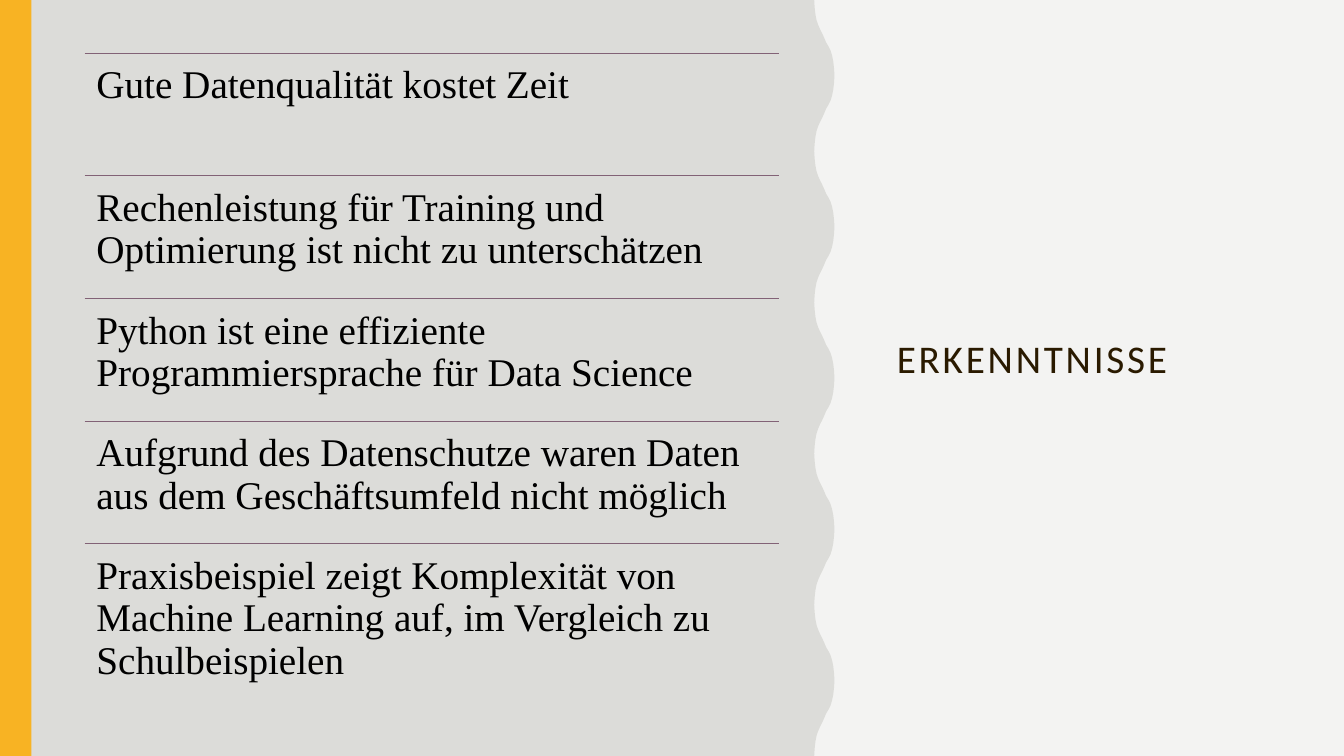
from dataclasses import dataclass

from lxml import etree
from pptx import Presentation
from pptx.dml.color import RGBColor
from pptx.enum.shapes import MSO_CONNECTOR, MSO_SHAPE
from pptx.enum.text import MSO_ANCHOR, MSO_AUTO_SIZE, PP_ALIGN
from pptx.oxml.ns import qn
from pptx.util import Cm, Pt

STRAIGHT = MSO_CONNECTOR.STRAIGHT
RECTANGLE = MSO_SHAPE.RECTANGLE
TOP, MIDDLE = MSO_ANCHOR.TOP, MSO_ANCHOR.MIDDLE
LEFT = PP_ALIGN.LEFT
NO_AUTOFIT = MSO_AUTO_SIZE.NONE


@dataclass(frozen=True)
class Theme:
    paper: RGBColor = RGBColor.from_string("F3F3F2")
    panel: RGBColor = RGBColor.from_string("DCDCD9")
    accent: RGBColor = RGBColor.from_string("F8B323")
    title: RGBColor = RGBColor.from_string("2A1A00")
    body: RGBColor = RGBColor.from_string("000000")
    rule: RGBColor = RGBColor.from_string("826276")
    title_font: str = "Calibri"
    body_font: str = "Times New Roman"
    size: Pt = Pt(28)
    rule_width: Pt = Pt(0.5)


THEME = Theme()


def write(frame, text, *, font, color, anchor=TOP, margin=0.25, tracking=0):
    """Fill a text frame; margin is in cm, tracking in points."""
    frame.word_wrap = True
    frame.auto_size = NO_AUTOFIT
    frame.vertical_anchor = anchor
    frame.margin_left = frame.margin_right = Cm(margin)
    frame.margin_top = frame.margin_bottom = Cm(margin)
    paragraph = frame.paragraphs[0]
    paragraph.alignment = LEFT
    paragraph.line_spacing = 0.9
    run = paragraph.add_run()
    run.text = text
    run.font.name = font
    run.font.size = THEME.size
    run.font.color.rgb = color
    if tracking:
        run.font._element.set("spc", str(tracking * 100))


def paint(shape, color):
    shape.shadow.inherit = False
    shape.fill.solid()
    shape.fill.fore_color.rgb = color
    shape.line.fill.background()


prs = Presentation()
prs.slide_width, prs.slide_height = Cm(33.87), Cm(19.05)
slide = prs.slides.add_slide(prs.slide_layouts[5])
slide.background.fill.solid()
slide.background.fill.fore_color.rgb = THEME.paper

# Panel with a wavy right edge: each wave swells along this curve, then mirrors it
WAVES = 5
PANEL_WIDTH = 20.52
WAVE_HEIGHT = 3.81
SWELL = [
    (0, 0), (0.01, 0.18), (0.03, 0.36), (0.06, 0.51), (0.1, 0.63),
    (0.15, 0.74), (0.2, 0.84), (0.25, 0.95), (0.3, 1.07), (0.36, 1.17),
    (0.41, 1.27), (0.45, 1.4), (0.48, 1.55), (0.5, 1.73), (0.51, 1.9),
]
wave = SWELL + [(x, WAVE_HEIGHT - y) for x, y in reversed(SWELL)]
edge = [
    (Cm(PANEL_WIDTH + x), Cm(number * WAVE_HEIGHT + y))
    for number in range(WAVES)
    for x, y in wave
]
outline = slide.shapes.build_freeform(0, 0)
outline.add_line_segments(edge + [(0, prs.slide_height)], close=True)
paint(outline.convert_to_shape(), THEME.panel)

stripe = slide.shapes.add_shape(RECTANGLE, 0, 0, Cm(0.79), prs.slide_height)
paint(stripe, THEME.accent)

title = slide.shapes.title
title.left, title.top = Cm(22.35), Cm(1.35)
title.width, title.height = Cm(10.16), Cm(15.47)
write(title.text_frame, "ERKENNTNISSE", font=THEME.title_font,
      color=THEME.title, anchor=MIDDLE, tracking=2)

findings = [
    "Gute Datenqualität kostet Zeit",
    "Rechenleistung für Training und Optimierung ist nicht zu unterschätzen",
    "Python ist eine effiziente Programmiersprache für Data Science",
    "Aufgrund des Datenschutze waren Daten aus dem Geschäftsumfeld nicht möglich",
    "Praxisbeispiel zeigt Komplexität von Machine Learning auf, im Vergleich zu Schulbeispielen",
]
LIST_LEFT, LIST_TOP = 2.13, 1.34
LIST_WIDTH, ROW_HEIGHT = 17.51, 3.09

for row, finding in enumerate(findings):
    top = Cm(LIST_TOP + row * ROW_HEIGHT)
    rule = slide.shapes.add_connector(
        STRAIGHT, Cm(LIST_LEFT), top, Cm(LIST_LEFT + LIST_WIDTH), top)
    rule.line.color.rgb = THEME.rule
    rule.line.width = THEME.rule_width
    etree.SubElement(rule._element.spPr, qn("a:effectLst"))

    entry = slide.shapes.add_textbox(
        Cm(LIST_LEFT), top, Cm(LIST_WIDTH), Cm(ROW_HEIGHT))
    write(entry.text_frame, finding, font=THEME.body_font,
          color=THEME.body, margin=0.3)

prs.save("out.pptx")
